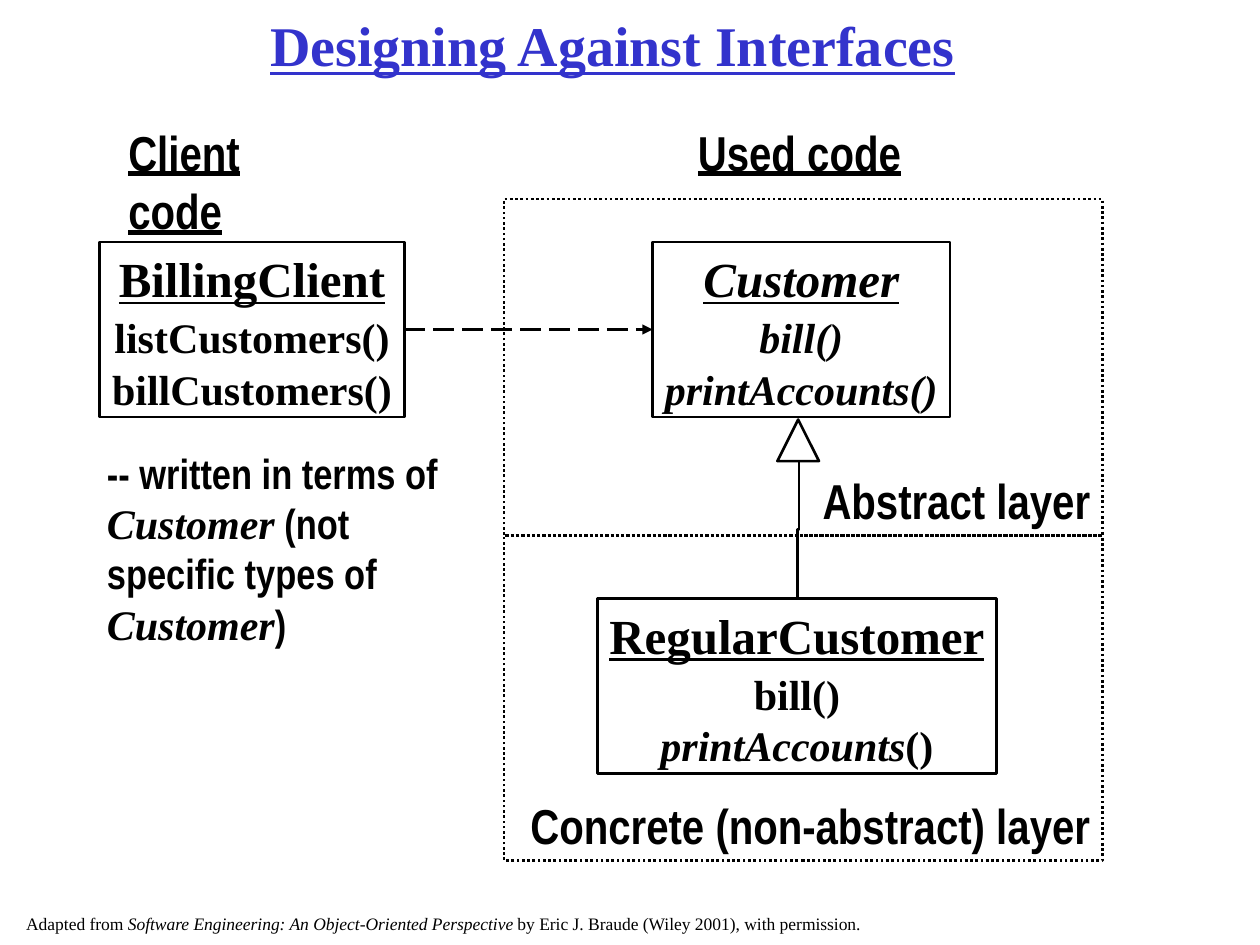
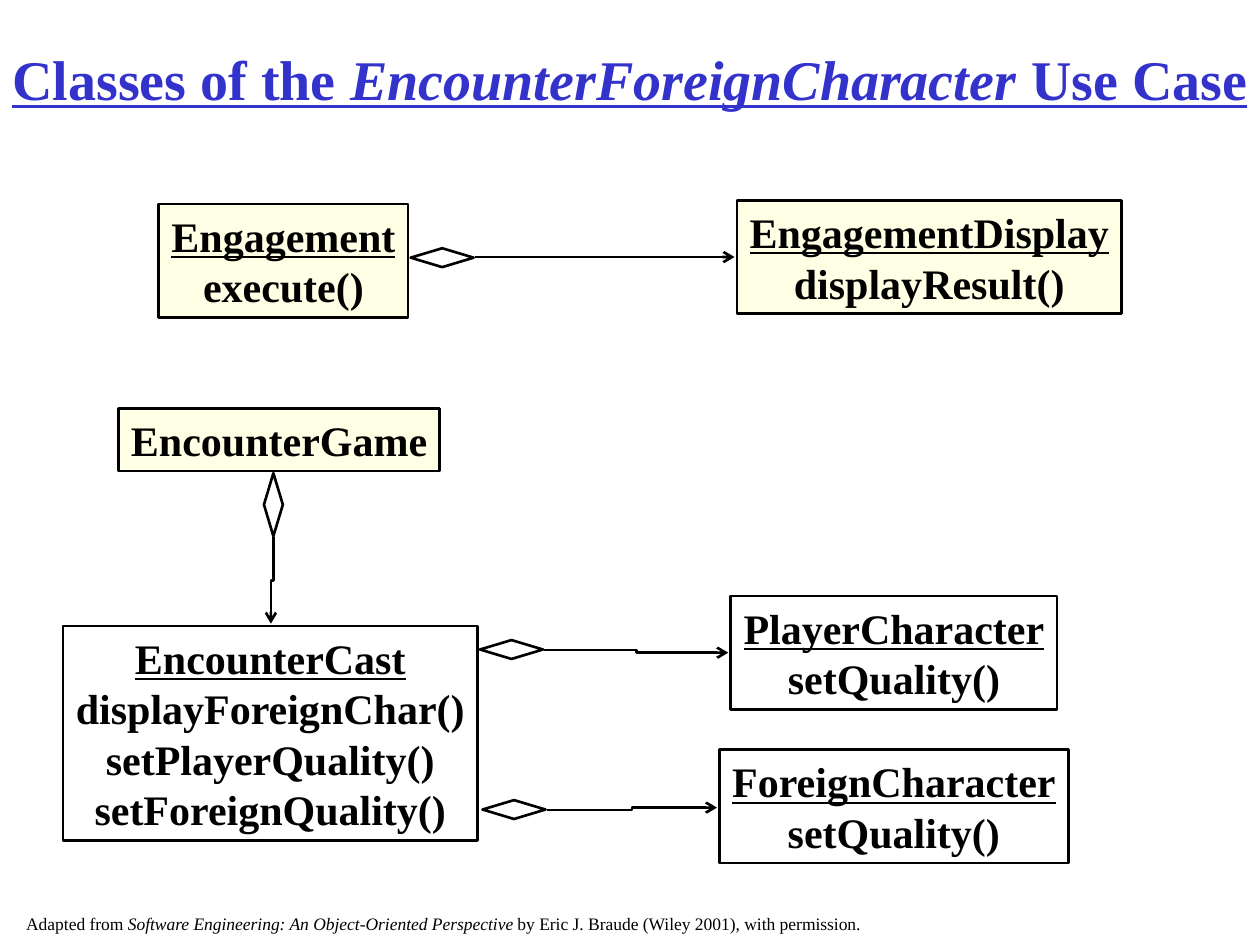
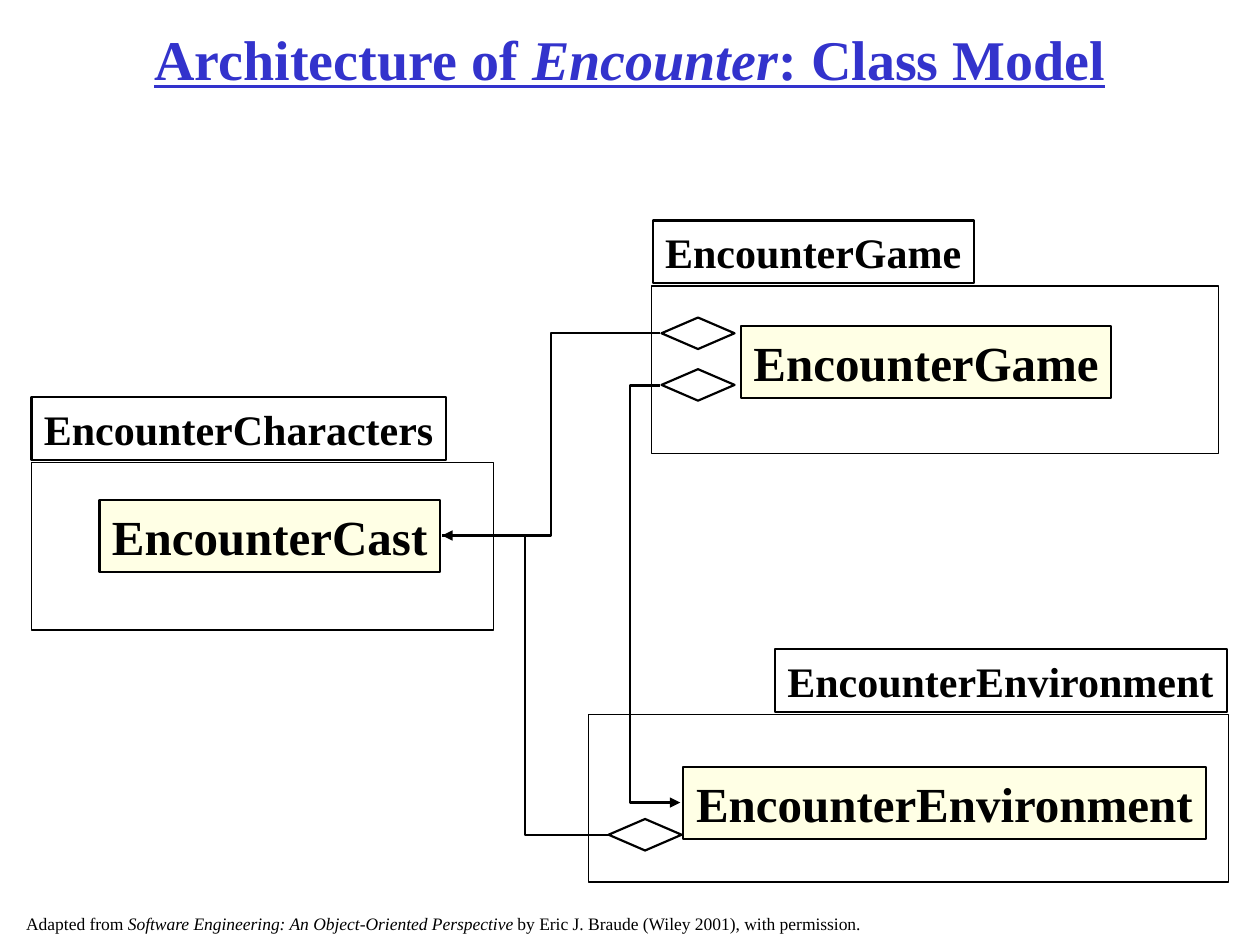
from lxml import etree
from pptx import Presentation
from pptx.dml.color import RGBColor
from pptx.enum.dml import MSO_LINE
from pptx.enum.shapes import MSO_CONNECTOR, MSO_SHAPE
from pptx.enum.text import MSO_ANCHOR, PP_ALIGN
from pptx.oxml.ns import qn
from pptx.util import Inches, Pt

RECTANGLE = MSO_SHAPE.RECTANGLE
DIAMOND = MSO_SHAPE.DIAMOND
TRIANGLE = MSO_SHAPE.FLOWCHART_EXTRACT
STRAIGHT, ELBOW = MSO_CONNECTOR.STRAIGHT, MSO_CONNECTOR.ELBOW
LONG_DASH, DOTTED = MSO_LINE.LONG_DASH, MSO_LINE.ROUND_DOT
TOP, MIDDLE, BOTTOM = MSO_ANCHOR.TOP, MSO_ANCHOR.MIDDLE, MSO_ANCHOR.BOTTOM
LEFT, CENTER, RIGHT = PP_ALIGN.LEFT, PP_ALIGN.CENTER, PP_ALIGN.RIGHT

COLORS = {"title": "3333CC", "ink": "000000", "paper": "FFFFFF", "highlight": "FFFFE5"}
SERIF, NARROW = "Times New Roman", "Arial Narrow"
LEFT_SIDE, RIGHT_SIDE = 1, 3
DIAMOND_SMALL, DIAMOND_LARGE = (0.5, 0.15), (0.58, 0.25)
SOURCE = ("Adapted from *Software Engineering: An Object-Oriented Perspective *"
          "by Eric J. Braude (Wiley 2001), with permission.")


def rgb(name):
    return RGBColor.from_string(COLORS[name])


# ---- Text ----

def write(para, text, size, font=SERIF, color="ink", bold=True, underline=False,
          align=CENTER, italic_font=None):
    """Fill a paragraph; parts between asterisks are italic."""
    para.alignment = align
    para.font.size = Pt(size)
    para.font.bold = bold
    para.font.underline = underline
    para.font.color.rgb = rgb(color)
    parts = [(part, index % 2 == 1) for index, part in enumerate(text.split("*")) if part]
    if len(parts) == 1:
        para.font.italic = parts[0][1]
    if not italic_font:
        para.font.name = font
    for part, italic in parts:
        span = para.add_run()
        span.text = part
        if len(parts) > 1:
            span.font.italic = italic
        if italic_font:
            span.font.name = italic_font if italic else font


def prepare_frame(shape, anchor, wrap, inset=0.05):
    frame = shape.text_frame
    frame.word_wrap = wrap
    frame.vertical_anchor = anchor
    frame.margin_left = frame.margin_right = Inches(0.1)
    frame.margin_top = frame.margin_bottom = Inches(inset)
    return frame


def add_label(page, box, text, size, anchor=TOP, wrap=True, inset=0.05, **style):
    label = page.shapes.add_textbox(*map(Inches, box))
    write(prepare_frame(label, anchor, wrap, inset).paragraphs[0], text, size, **style)
    return label


# ---- Shapes and lines ----

def add_outline(page, kind, box, fill="paper", weight=1.5, dash=None):
    shape = page.shapes.add_shape(kind, *map(Inches, box))
    shape.shadow.inherit = False
    if fill:
        shape.fill.solid()
        shape.fill.fore_color.rgb = rgb(fill)
    else:
        shape.fill.background()
    shape.line.color.rgb = rgb("ink")
    shape.line.width = Pt(weight)
    if dash:
        shape.line.dash_style = dash
    return shape


def style_connector(connector, weight, head=None, tail=None):
    connector.line.color.rgb = rgb("ink")
    connector.line.width = Pt(weight)
    line = connector.line._get_or_add_ln()
    for tag, arrow in (("a:headEnd", head), ("a:tailEnd", tail)):
        if arrow:
            etree.SubElement(line, qn(tag), type=arrow)
    etree.SubElement(connector._element.spPr, qn("a:effectLst"))


def add_elbow(page, start, end, weight=1.5, head=None, tail=None, turn=None, vertical=False):
    """Draw a bent line; turn is the x of its middle part."""
    (x1, y1), (x2, y2) = start, end
    if vertical:
        # Lay the line out sideways about its centre, then rotate it a quarter turn.
        mid_x, mid_y = (x1 + x2) / 2, (y1 + y2) / 2
        half_run, half_rise = (y2 - y1) / 2, (x1 - x2) / 2
        x1, x2 = mid_x - half_run, mid_x + half_run
        y1, y2 = mid_y - half_rise, mid_y + half_rise
    elbow = page.shapes.add_connector(ELBOW, *map(Inches, (x1, y1, x2, y2)))
    properties = elbow._element.spPr
    if vertical:
        properties.find(qn("a:xfrm")).set("rot", str(90 * 60000))
    if turn is not None:
        share = round((turn - x1) / (x2 - x1) * 100000)
        guides = properties.find(qn("a:prstGeom")).get_or_add_avLst()
        etree.SubElement(guides, qn("a:gd"), name="adj1", fmla=f"val {share}")
    style_connector(elbow, weight, head, tail)


# ---- Page parts ----

def add_page(deck, title, title_box, anchor=MIDDLE):
    page = deck.slides.add_slide(deck.slide_layouts[6])
    add_label(page, title_box, title, 32, anchor, color="title", underline=True)
    return page


def add_footer(page):
    footer = add_label(page, (0.11, 7.25, 6.83, 0.17), SOURCE, 10, wrap=False,
                       inset=0, bold=False, align=LEFT)
    footer.fill.solid()
    footer.fill.fore_color.rgb = rgb("paper")


def add_class(page, box, name, methods=(), fill="paper", name_size=24, weight=1.5,
              compact=False):
    """Draw a class box; the name is underlined when methods follow."""
    shape = add_outline(page, RECTANGLE, box, fill, weight)
    frame = prepare_frame(shape, MIDDLE, wrap=False)
    write(frame.paragraphs[0], name, name_size, underline=bool(methods))
    for method in methods:
        para = frame.add_paragraph()
        if compact:
            para.line_spacing = 0.5
            para.space_before = Pt(15)
        write(para, method, 24)
    return shape


def add_layer(page, box, text):
    layer = add_outline(page, RECTANGLE, box, None, dash=DOTTED)
    frame = prepare_frame(layer, BOTTOM, wrap=True)
    write(frame.paragraphs[0], text, 28, NARROW, align=RIGHT)


def add_aggregation(page, diamond_at, start, end, rotation=0):
    """Draw a diamond and the arrow that leaves it."""
    diamond = add_outline(page, DIAMOND, (*diamond_at, *DIAMOND_SMALL))
    diamond.rotation = rotation
    add_elbow(page, start, end, tail="arrow", vertical=bool(rotation))


def add_package(page, box, tab_left, tab_width, name, class_offset, class_width, class_name):
    """Draw a package frame with its name tab above and one class inside."""
    left, top, _, _ = box
    tab = add_outline(page, RECTANGLE, (tab_left, top - 0.52, tab_width, 0.5), None, 1.25)
    write(prepare_frame(tab, TOP, wrap=False).paragraphs[0], name, 24, align=LEFT)
    add_outline(page, RECTANGLE, box, None, 0.75)
    across, down = class_offset
    add_class(page, (left + across, top + down, class_width, 0.57), class_name,
              fill="highlight", name_size=28, weight=1.25)


# ---- Pages ----

def build_interfaces(deck):
    page = add_page(deck, "Designing Against Interfaces", (1.33, 0.04, 7.07, 0.63), BOTTOM)

    # Used code: abstract class and its subclass
    customer = add_class(page, (5.18, 1.92, 2.36, 1.39), "*Customer*",
                         ("*bill()*", "*printAccounts()*"), name_size=28, compact=True)
    add_outline(page, TRIANGLE, (6.17, 3.33, 0.33, 0.33))
    add_class(page, (4.74, 4.75, 3.17, 1.39), "RegularCustomer",
              ("bill()", "*printAccounts*()"), name_size=28, compact=True)
    add_elbow(page, (6.33, 4.74), (6.34, 3.67), vertical=True)

    # Client code and its dependency
    client = add_class(page, (0.79, 1.92, 2.42, 1.39), "BillingClient",
                       ("listCustomers()", "billCustomers()"), name_size=28, compact=True)
    dependency = page.shapes.add_connector(STRAIGHT, 0, 0, 0, 0)
    dependency.begin_connect(client, RIGHT_SIDE)
    dependency.end_connect(customer, LEFT_SIDE)
    dependency.line.dash_style = LONG_DASH
    style_connector(dependency, 1.5, tail="triangle")

    # Layers, headings and note
    add_layer(page, (4, 1.58, 4.75, 2.67), "Abstract layer")
    add_layer(page, (4, 4.25, 4.75, 2.58), "Concrete (non-abstract) layer")
    for left, width, heading in ((0.92, 1.91, "Client code"), (5.44, 1.81, "Used code")):
        add_label(page, (left, 0.92, width, 0.57), heading, 28, wrap=False,
                  font=NARROW, underline=True, align=LEFT)
    add_label(page, (0.75, 3.5, 2.92, 1.7),
              "-- written in terms of *Customer* (not specific types of *Customer*)", 24,
              font=NARROW, italic_font=SERIF, align=LEFT)
    add_footer(page)


def build_use_case(deck):
    page = add_page(deck, "Classes of the *EncounterForeignCharacter* Use Case",
                    (0, 0.33, 10, 0.58))

    # Framework classes
    add_class(page, (1.26, 1.62, 1.98, 0.9), "Engagement", ("execute()",), "highlight")
    add_class(page, (5.85, 1.59, 3.05, 0.9), "EngagementDisplay", ("displayResult()",),
              "highlight")
    add_class(page, (0.94, 3.24, 2.55, 0.5), "EncounterGame", fill="highlight")

    # Cast and characters
    add_class(page, (0.5, 4.97, 3.29, 1.7), "EncounterCast",
              ("displayForeignChar()", "setPlayerQuality()", "setForeignQuality()"))
    add_class(page, (5.71, 5.95, 2.77, 0.9), "ForeignCharacter", ("setQuality()",))
    add_class(page, (5.8, 4.73, 2.59, 0.9), "PlayerCharacter", ("setQuality()",))

    # Aggregations
    add_aggregation(page, (3.26, 1.97), (3.77, 2.04), (5.83, 2.04))
    add_aggregation(page, (3.83, 6.35), (4.34, 6.43), (5.69, 6.41))
    add_aggregation(page, (1.92, 3.93), (2.17, 4.26), (2.15, 4.95), rotation=270)
    add_aggregation(page, (3.81, 5.08), (4.32, 5.16), (5.78, 5.18))
    add_footer(page)


def build_class_model(deck):
    page = add_page(deck, "Architecture of *Encounter*: Class Model", (0.75, 0.17, 8.5, 0.58))

    # Packages
    add_package(page, (0.25, 3.67, 3.67, 1.33), 0.25, 3.29, "EncounterCharacters",
                (0.54, 0.3), 2.7, "EncounterCast")
    add_package(page, (5.17, 2.27, 4.5, 1.33), 5.18, 2.55, "EncounterGame",
                (0.71, 0.32), 2.94, "EncounterGame")
    add_package(page, (4.67, 5.67, 5.08, 1.33), 6.15, 3.59, "EncounterEnvironment",
                (0.75, 0.42), 4.15, "EncounterEnvironment")

    # Aggregations between packages
    add_elbow(page, (3.51, 4.25), (5.24, 2.64), 1.25)
    add_elbow(page, (3.51, 4.25), (4.83, 6.63), 1.25, head="triangle")
    add_elbow(page, (5.4, 6.37), (5.24, 3.06), 1.25, head="triangle", turn=5)
    for corner in ((5.25, 2.52), (5.25, 2.93), (4.83, 6.5)):
        add_outline(page, DIAMOND, (*corner, *DIAMOND_LARGE), weight=1.25)
    add_footer(page)


def main():
    deck = Presentation()
    deck.slide_width, deck.slide_height = Inches(10), Inches(7.5)
    build_interfaces(deck)
    build_use_case(deck)
    build_class_model(deck)
    deck.save("out.pptx")


if __name__ == "__main__":
    main()
